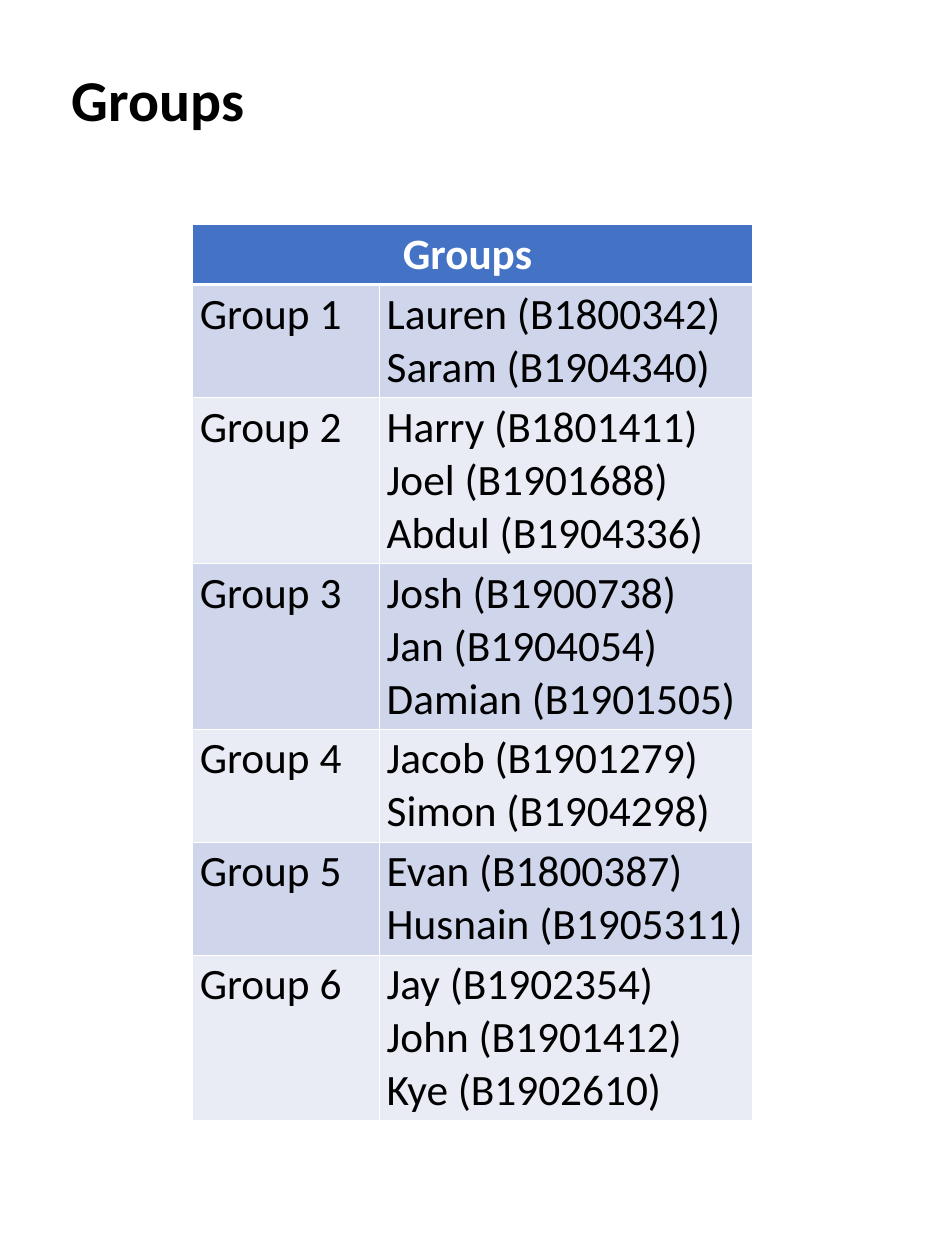
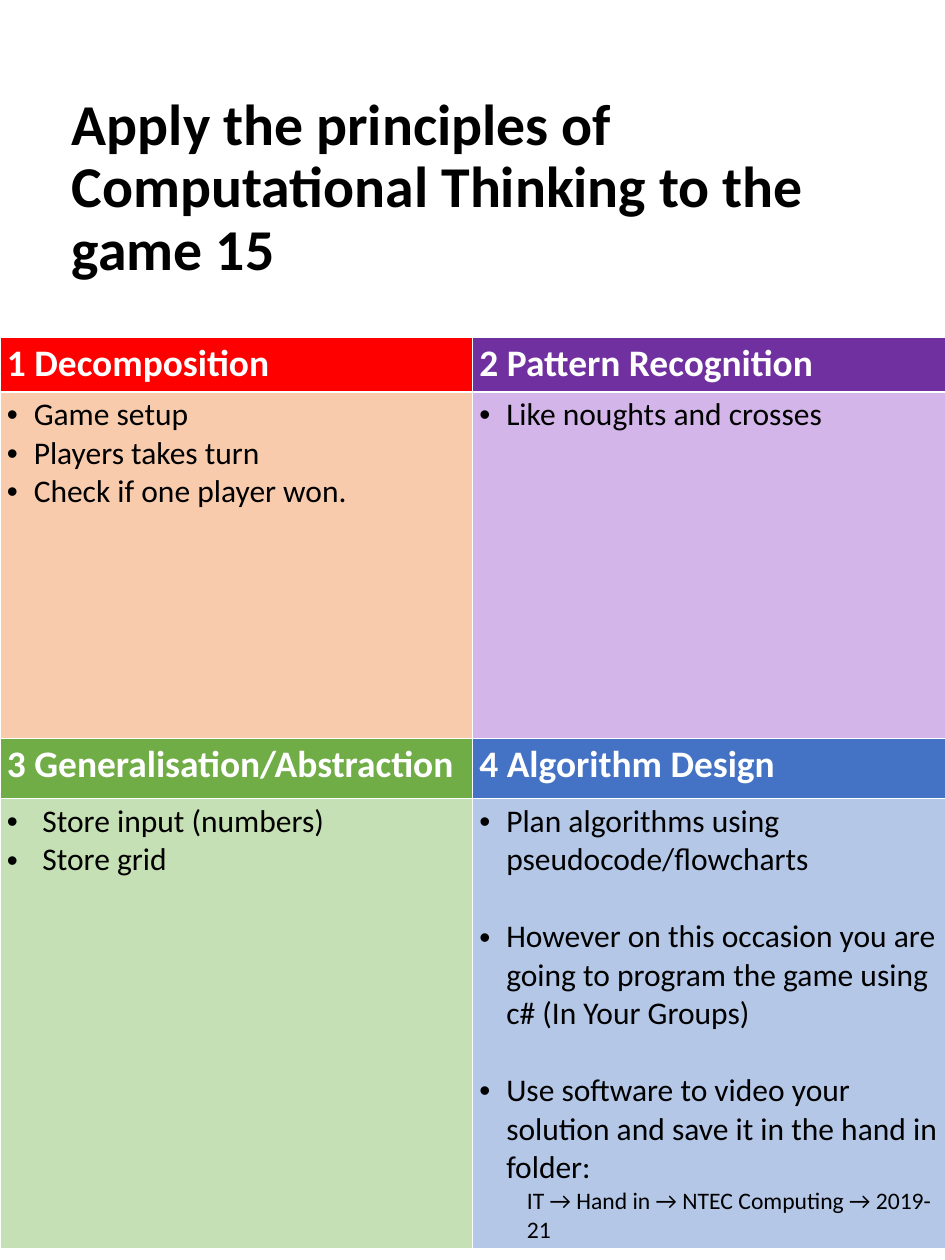
from lxml.etree import SubElement
from pptx import Presentation
from pptx.dml.color import RGBColor
from pptx.enum.text import MSO_ANCHOR, PP_ALIGN
from pptx.oxml.ns import qn
from pptx.util import Cm, Pt

# Shared style
FONT = "Calibri"
BLACK, WHITE, BLUE = "000000", "FFFFFF", "4472C4"
BANDS = ["CFD5EA", "E9EBF5"]
SLIDE_WIDTH, SLIDE_HEIGHT = 33.87, 45.16
TITLE_LEFT, TITLE_TOP, TITLE_WIDTH = 2.33, 2.41, 29.21
BULLET_INDENT = 0.96
LINE_HEIGHT = 1.22  # Line height as a multiple of the text size


def color(hex_text):
    return RGBColor.from_string(hex_text)


def write_text(frame, text, size, bold=False, ink=BLACK, align=PP_ALIGN.LEFT,
               line_spacing=None, space_before=0, bullet=None, indent=0):
    """Add one paragraph, using the empty first one if there is one."""
    first = frame.paragraphs[0]
    paragraph = frame.add_paragraph() if first.runs else first
    paragraph.alignment = align
    paragraph.space_before = Pt(space_before)
    if line_spacing:
        paragraph.line_spacing = line_spacing
    run = paragraph.add_run()
    run.text = text
    run.font.name, run.font.size, run.font.bold = FONT, Pt(size), bold
    run.font.color.rgb = color(ink)
    properties = paragraph._p.get_or_add_pPr()
    properties.set("marL", str(Cm(indent)))
    properties.set("indent", str(-Cm(indent) if bullet else 0))
    if bullet:
        SubElement(properties, qn("a:buFont"), typeface="Arial")
        SubElement(properties, qn("a:buChar"), char=bullet)


def add_title(slide, text, height):
    shape = slide.shapes.add_textbox(Cm(TITLE_LEFT), Cm(TITLE_TOP),
                                     Cm(TITLE_WIDTH), Cm(height))
    shape.text_frame.word_wrap = True
    shape.text_frame.vertical_anchor = MSO_ANCHOR.MIDDLE
    write_text(shape.text_frame, text, 58.7, bold=True, line_spacing=0.9)


def style_cell(cell, fill, row):
    """Margins, white borders (thick below the first row) and fill."""
    cell.margin_left = cell.margin_right = Cm(0.25)
    cell.margin_top = cell.margin_bottom = Cm(0.13)
    widths = {"L": 1, "R": 1, "T": 3 if row == 1 else 1, "B": 3 if row == 0 else 1}
    properties = cell._tc.get_or_add_tcPr()
    for side, width in widths.items():
        line = SubElement(properties, qn(f"a:ln{side}"), w=str(Pt(width)))
        solid = SubElement(line, qn("a:solidFill"))
        SubElement(solid, qn("a:srgbClr"), val=WHITE)
    cell.fill.solid()
    cell.fill.fore_color.rgb = color(fill)


def add_grid(slide, left, top, column_widths, row_heights, fills):
    """Add a table; fills holds one list of colours per row."""
    frame = slide.shapes.add_table(len(row_heights), len(column_widths), Cm(left),
                                   Cm(top), Cm(sum(column_widths)), Cm(sum(row_heights)))
    table = frame.table
    table.first_row = table.horz_banding = False
    for column, width in zip(table.columns, column_widths):
        column.width = Cm(width)
    for row, height in zip(table.rows, row_heights):
        row.height = Cm(height)
    for row, row_fills in enumerate(fills):
        for column, fill in enumerate(row_fills):
            style_cell(table.cell(row, column), fill, row)
    return table


# Slide 1: list of groups
GROUPS = [
    ["Lauren (B1800342)", "Saram (B1904340)"],
    ["Harry (B1801411)", "Joel (B1901688)", "Abdul (B1904336)"],
    ["Josh (B1900738)", "Jan (B1904054)", "Damian (B1901505)"],
    ["Jacob (B1901279)", "Simon (B1904298)"],
    ["Evan (B1800387)", "Husnain (B1905311)"],
    ["Jay (B1902354)", "John (B1901412)", "Kye (B1902610)"],
]


def add_groups_table(slide, left, top, column_widths):
    size = 44
    line = size * LINE_HEIGHT * 2.54 / 72
    heights = [line + 0.26] + [len(members) * line + 0.26 for members in GROUPS]
    fills = [[BLUE] * 2] + [[BANDS[i % 2]] * 2 for i in range(len(GROUPS))]
    table = add_grid(slide, left, top, column_widths, heights, fills)
    table.cell(0, 0).merge(table.cell(0, 1))
    write_text(table.cell(0, 0).text_frame, "Groups ", size, bold=True, ink=WHITE,
               align=PP_ALIGN.CENTER)
    for number, members in enumerate(GROUPS, 1):
        write_text(table.cell(number, 0).text_frame, f"Group {number}", size)
        for member in members:
            write_text(table.cell(number, 1).text_frame, member, size)


# Slide 2: heading, heading colour, body colour, bullet indent, gap in lines, items
PRINCIPLES = [
    ("1 Decomposition", "FF0000", "F8CBAD", BULLET_INDENT, 0,
     ["Game setup", "Players takes turn", "Check if one player won."]),
    ("2 Pattern Recognition", "7030A0", "D3B5E9", BULLET_INDENT, 0,
     ["Like noughts and crosses"]),
    ("3 Generalisation/Abstraction", "70AD47", "C5E0B4", 1.27, 0,
     ["Store input (numbers)", "Store grid"]),
    ("4 Algorithm Design", BLUE, "B4C7E7", BULLET_INDENT, 1,
     ["Plan algorithms using pseudocode/flowcharts",
      "However on this occasion you are going to program the game using c# (In Your Groups)",
      "Use software to video your solution and save it in the hand in folder:"]),
]
HAND_IN_FOLDER = "IT → Hand in → NTEC Computing → 2019-21"


def add_principles_table(slide, left, top, width, row_heights):
    fills = []
    for pair in (PRINCIPLES[:2], PRINCIPLES[2:]):
        fills += [[principle[1] for principle in pair],
                  [principle[2] for principle in pair]]
    table = add_grid(slide, left, top, [width / 2] * 2, row_heights, fills)
    size = 32
    for index, (heading, _, _, indent, gap, items) in enumerate(PRINCIPLES):
        row, column = index // 2 * 2, index % 2
        write_text(table.cell(row, column).text_frame, heading, 38, bold=True, ink=WHITE)
        body = table.cell(row + 1, column).text_frame
        for position, item in enumerate(items):
            space = gap * size * LINE_HEIGHT if position else 0
            write_text(body, item, size, space_before=space, bullet="•", indent=indent)
    write_text(body, HAND_IN_FOLDER, 24, indent=1.7)


# Build the presentation
presentation = Presentation()
presentation.slide_width, presentation.slide_height = Cm(SLIDE_WIDTH), Cm(SLIDE_HEIGHT)
blank = presentation.slide_layouts[6]

groups_slide = presentation.slides.add_slide(blank)
add_title(groups_slide, "Groups", 2.57)
add_groups_table(groups_slide, 6.91, 8.05, [6.7, 13.34])

principles_slide = presentation.slides.add_slide(blank)
add_title(principles_slide,
          "Apply the principles of Computational Thinking to the game 15 ", 8.74)
add_principles_table(principles_slide, 0, 12.09, SLIDE_WIDTH, [1.96, 12.42, 2.16, 16.1])

presentation.save("out.pptx")
